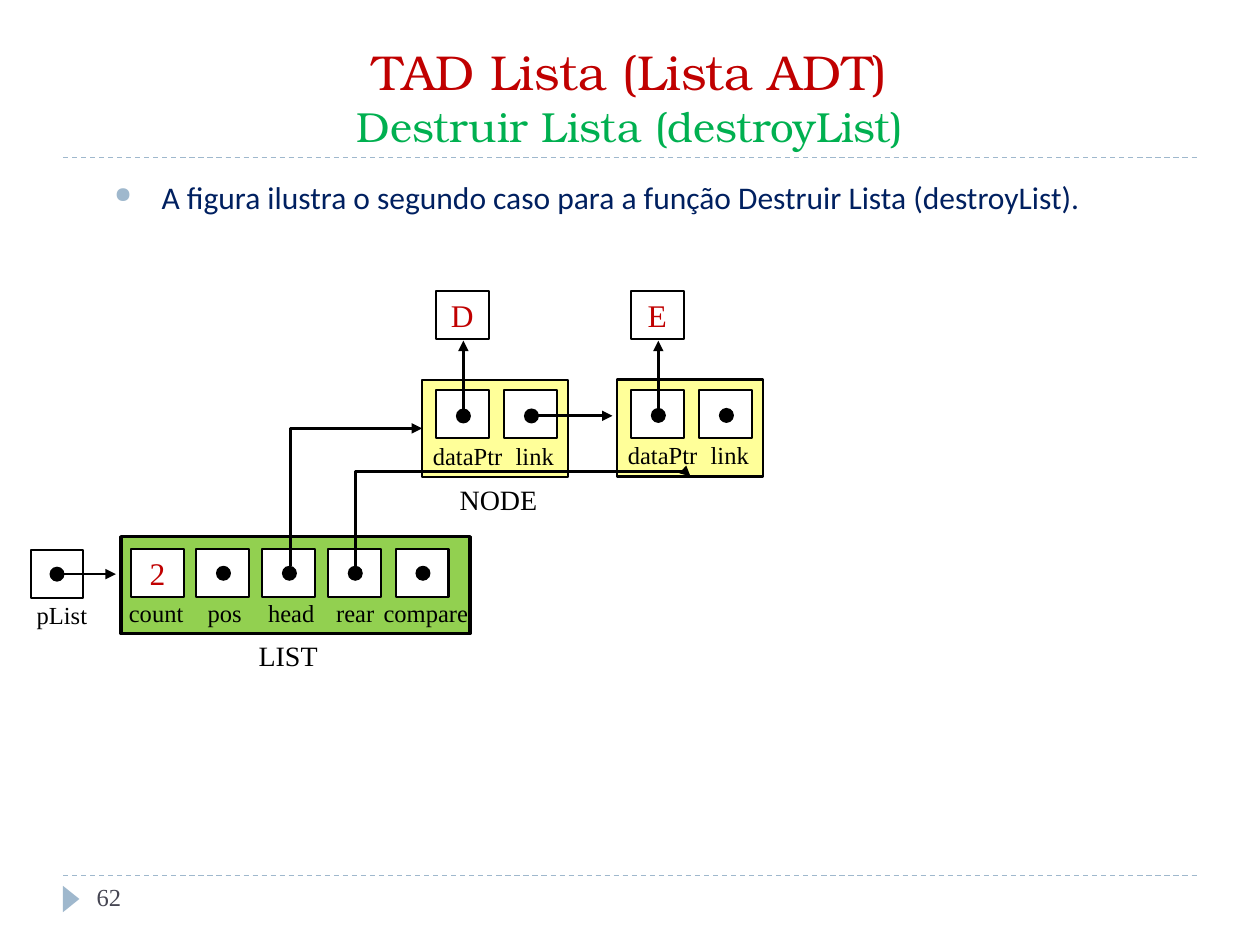
from lxml.etree import SubElement
from pptx import Presentation
from pptx.dml.color import RGBColor
from pptx.enum.dml import MSO_LINE
from pptx.enum.shapes import MSO_CONNECTOR as Connector, MSO_SHAPE as Shape
from pptx.enum.text import MSO_ANCHOR as Anchor, MSO_AUTO_SIZE as AutoSize, PP_ALIGN as Align
from pptx.oxml.ns import qn
from pptx.util import Pt

RED = RGBColor(0xC0, 0x00, 0x00)
GREEN = RGBColor(0x00, 0xB0, 0x50)
NAVY = RGBColor(0x00, 0x20, 0x60)
SLATE = RGBColor(0x46, 0x46, 0x53)
STEEL = RGBColor(0x9F, 0xB8, 0xCD)
YELLOW = RGBColor(0xFF, 0xFF, 0x99)
LIME = RGBColor(0x92, 0xD0, 0x50)
BLACK = RGBColor(0, 0, 0)
WHITE = RGBColor(0xFF, 0xFF, 0xFF)
SERIF = "Times New Roman"
CELL_WIDTH, CELL_HEIGHT = 30.2, 27.4
DOT = 8.6


def add_run(paragraph, text, size, color, font=SERIF):
    run = paragraph.add_run()
    run.text = text
    run.font.size = Pt(size)
    run.font.name = font
    run.font.color.rgb = color


def add_text(slide, left, top, width, height, text, size, color=BLACK, font=SERIF, wrap=False):
    box = slide.shapes.add_textbox(Pt(left), Pt(top), Pt(width), Pt(height))
    box.text_frame.word_wrap = wrap
    paragraph = box.text_frame.paragraphs[0]
    add_run(paragraph, text, size, color, font)
    return paragraph


def add_filled(slide, kind, left, top, width, height, fill, line_width=0):
    shape = slide.shapes.add_shape(kind, Pt(left), Pt(top), Pt(width), Pt(height))
    shape.shadow.inherit = False
    shape.fill.solid()
    shape.fill.fore_color.rgb = fill
    if line_width:
        shape.line.color.rgb = BLACK
        shape.line.width = Pt(line_width)
    else:
        shape.line.fill.background()
    return shape


def add_cell(slide, left, top, text=""):
    cell = add_filled(slide, Shape.RECTANGLE, left, top, CELL_WIDTH, CELL_HEIGHT, WHITE, 1.25)
    if text:
        frame = cell.text_frame
        frame.vertical_anchor = Anchor.MIDDLE
        frame.paragraphs[0].alignment = Align.CENTER
        add_run(frame.paragraphs[0], text, 18, RED)


def add_dot(slide, x, y):
    add_filled(slide, Shape.OVAL, x - DOT / 2, y - DOT / 2, DOT, DOT, BLACK)


def add_line(slide, start, end, color=BLACK, width=1.5, kind=Connector.STRAIGHT):
    line = slide.shapes.add_connector(kind, *(Pt(value) for value in (*start, *end)))
    line.line.color.rgb = color
    line.line.width = Pt(width)
    SubElement(line.element.spPr, qn("a:effectLst"))
    return line


def add_arrow(slide, start, end, kind=Connector.STRAIGHT):
    arrow = add_line(slide, start, end, kind=kind)
    SubElement(arrow.element.spPr.find(qn("a:ln")), qn("a:tailEnd"), type="triangle")
    return arrow


def add_upward_elbow(slide, start, end, preset, adjustment=None):
    run, rise = end[0] - start[0], start[1] - end[1]
    center_x, center_y = (start[0] + end[0]) / 2, (start[1] + end[1]) / 2
    arrow = add_arrow(
        slide,
        (center_x - rise / 2, center_y - run / 2),
        (center_x + rise / 2, center_y + run / 2),
        Connector.ELBOW,
    )
    properties = arrow.element.spPr
    properties.find(qn("a:xfrm")).set("rot", "16200000")
    geometry = properties.find(qn("a:prstGeom"))
    geometry.set("prst", preset)
    if adjustment:
        guides = geometry.find(qn("a:avLst"))
        if guides is None:
            guides = SubElement(geometry, qn("a:avLst"))
        SubElement(guides, qn("a:gd"), name="adj1", fmla=f"val {adjustment}")


def add_title(slide, left, top, width, height):
    title = slide.shapes.title
    title.left, title.top, title.width, title.height = (
        Pt(value) for value in (left, top, width, height))
    frame = title.text_frame
    frame.auto_size = AutoSize.NONE
    frame.vertical_anchor = Anchor.BOTTOM
    paragraph = frame.paragraphs[0]
    paragraph.alignment = Align.CENTER
    add_run(paragraph, "TAD Lista (Lista ADT)", 28, RED, "TeX Gyre Bonum")
    paragraph.add_line_break()
    add_run(paragraph, "Destruir Lista (destroyList)", 24, GREEN, "TeX Gyre Bonum")


def add_bullet(slide, left, top, width, height, text):
    paragraph = add_text(slide, left, top, width, height, text, 18, NAVY, "Calibri", True)
    paragraph.alignment = Align.JUSTIFY
    properties = paragraph._p.get_or_add_pPr()
    properties.set("marL", str(Pt(27)))
    properties.set("indent", str(-Pt(27)))
    color = SubElement(properties, qn("a:buClr"))
    SubElement(color, qn("a:srgbClr"), val=str(STEEL))
    SubElement(properties, qn("a:buSzPct"), val="70000")
    SubElement(properties, qn("a:buChar"), char="●")


def add_frame(slide, left, width, rules):
    for y in rules:
        rule = add_line(slide, (left, y), (left + width, y), STEEL, 0.75)
        rule.line.dash_style = MSO_LINE.DASH
    marker = add_filled(slide, Shape.ISOSCELES_TRIANGLE, left - 2.9, 509, 15.1, 9.4, STEEL)
    marker.rotation = 90
    add_text(slide, left + 12.2, 500.4, 156, 28.8, "62", 14, SLATE)


def add_node(slide, left, top, value, data_top):
    add_filled(slide, Shape.RECTANGLE, left, top, 83.5, 55.4, YELLOW, 1.25)
    dot_y = top + 20.5
    fields = (("dataPtr", 7.9, -0.9, 54.7), ("link", 46.8, 46.4, 36.7))
    for label, cell_offset, label_offset, width in fields:
        add_cell(slide, left + cell_offset, top + 5.8)
        add_text(slide, left + label_offset, top + 31, width, 24.5, label, 14)
        add_dot(slide, left + cell_offset + 15.7, dot_y)
    add_cell(slide, left + 7.9, data_top, value)
    add_arrow(slide, (left + 23.6, dot_y), (left + 23.6, data_top + CELL_HEIGHT + 1))


def add_list(slide, left, top):
    add_filled(slide, Shape.RECTANGLE, left, top, 199.4, 55.4, LIME, 2)
    fields = (
        ("count", 5.8, -2.5, 46.1, "2"),
        ("pos", 43, 42.5, 34.6, ""),
        ("head", 80.7, 77, 41, ""),
        ("rear", 118.3, 115.9, 36.7, ""),
        ("compare", 157, 143, 63.4, ""),
    )
    for label, cell_offset, label_offset, width, value in fields:
        add_cell(slide, left + cell_offset, top + 7.2, value)
        add_text(slide, left + label_offset, top + 31.5, width, 24.5, label, 14)
        if not value:
            add_dot(slide, left + cell_offset + 15.6, top + 20.9)
    add_text(slide, left + 71.6, top + 54.7, 49, 26.6, "LIST", 16)


def add_list_pointer(slide, left, top):
    add_cell(slide, left, top)
    add_text(slide, left - 3.6, top + 25.2, 43.9, 24.5, "pList", 14)
    center_x, center_y = left + CELL_WIDTH / 2, top + CELL_HEIGHT / 2
    add_arrow(slide, (center_x, center_y), (66.2, center_y))
    add_dot(slide, center_x, center_y)


def add_diagram(slide):
    add_text(slide, 255.6, 272.2, 59, 26.6, "NODE", 16)
    add_list_pointer(slide, 17.5, 314.4)
    for left, top, value in ((241.2, 217.2, "D"), (352.6, 216.9, "E")):
        add_node(slide, left, top, value, 166.3)
    add_arrow(slide, (304.5, 237.6), (350, 237.6))
    add_list(slide, 69.1, 306.7)
    add_upward_elbow(slide, (166, 323.3), (241.2, 244.8), "bentConnector2")
    add_upward_elbow(slide, (203, 323.3), (394.6, 272.2), "bentConnector3", 105500)


def main():
    presentation = Presentation()
    presentation.slide_width, presentation.slide_height = Pt(720), Pt(540)
    slide = presentation.slides.add_slide(presentation.slide_layouts[5])
    add_frame(slide, 36, 648, (90, 500.4))
    add_title(slide, 36, 18, 648, 72)
    add_bullet(slide, 58.3, 97.9, 612, 35.3,
               "A figura ilustra o segundo caso para a função Destruir Lista (destroyList).")
    add_diagram(slide)
    presentation.save("out.pptx")


if __name__ == "__main__":
    main()
